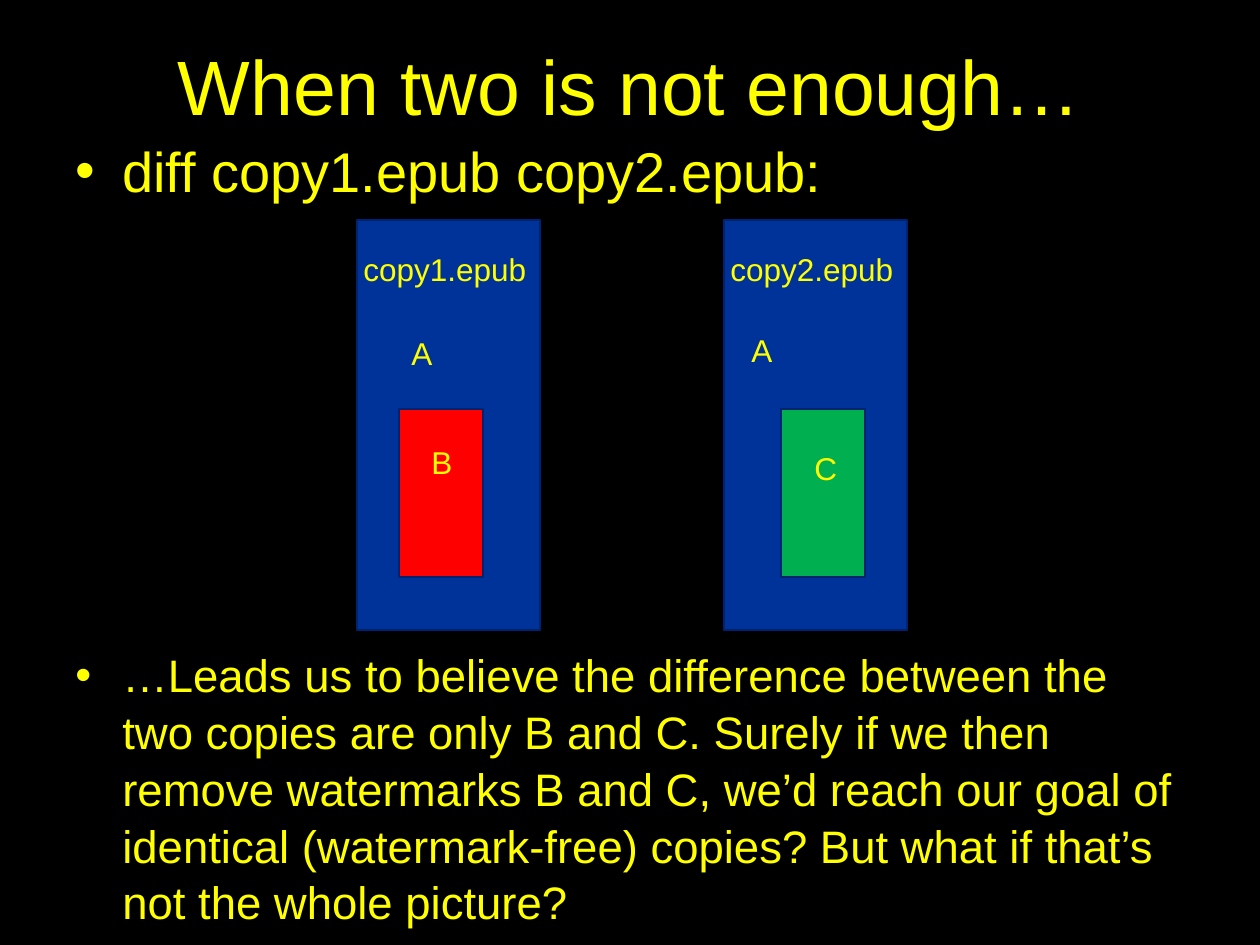
from lxml import etree
from pptx import Presentation
from pptx import util as u
from pptx.dml.color import RGBColor
from pptx.enum import shapes, text
from pptx.oxml.ns import qn

BLACK = RGBColor(0x00, 0x00, 0x00)
YELLOW = RGBColor(0xFF, 0xFF, 0x00)
BLUE = RGBColor(0x00, 0x33, 0x99)
NAVY = RGBColor(0x00, 0x23, 0x6F)
RED = RGBColor(0xFF, 0x00, 0x00)
GREEN = RGBColor(0x00, 0xB0, 0x50)
LINE_SPACING = 1.04


def px(*values):
    return [u.Emu(round(v * 914400 / 126)) for v in values]


def add_run(p, words, size):
    p.line_spacing = LINE_SPACING
    r = p.add_run()
    r.text = words
    r.font.name = "Arial"
    r.font.size = u.Pt(size)
    r.font.color.rgb = YELLOW


prs = Presentation()
prs.slide_width, prs.slide_height = px(1260, 945)
s = prs.slides.add_slide(prs.slide_layouts[6])
s.background.fill.solid()
s.background.fill.fore_color.rgb = BLACK

# Title
tf = s.shapes.add_textbox(*px(63, 0, 1134, 157)).text_frame
tf.word_wrap = True
tf.vertical_anchor = text.MSO_ANCHOR.MIDDLE
tf.margin_top, tf.margin_bottom = px(14, 6)
p = tf.paragraphs[0]
p.alignment = text.PP_ALIGN.CENTER
add_run(p, "When two is not enough…", 44)

# Bullets, with a gap between them for the diagram
tf = s.shapes.add_textbox(*px(63, 128, 1134, 790)).text_frame
tf.word_wrap = True
bullets = [
    ("diff copy1.epub copy2.epub:", 32, 0),
    ("…Leads us to believe the difference between the two copies are only "
     "B and C. Surely if we then remove watermarks B and C, we’d reach our "
     "goal of identical (watermark-free) copies? But what if that’s not the "
     "whole picture?", 26, 252),
]
indent, = px(47)
for i, (words, size, gap) in enumerate(bullets):
    p = tf.add_paragraph() if i else tf.paragraphs[0]
    pPr = p._p.get_or_add_pPr()
    pPr.set("marL", str(indent))
    pPr.set("indent", str(-indent))
    etree.SubElement(pPr, qn("a:buFont"), typeface="Arial")
    etree.SubElement(pPr, qn("a:buChar"), char="•")
    if gap:
        p.space_before = u.Pt(gap)
    add_run(p, words, size)

# The two files, each with its differing block
blocks = [
    (357, 220, 183, 410, BLUE),
    (724, 220, 183, 410, BLUE),
    (399, 409, 84, 168, RED),
    (781, 409, 84, 168, GREEN),
]
for *box, color in blocks:
    sp = s.shapes.add_shape(shapes.MSO_SHAPE.RECTANGLE, *px(*box))
    sp.shadow.inherit = False
    sp.fill.solid()
    sp.fill.fore_color.rgb = color
    sp.line.color.rgb = NAVY
    sp.line.width = u.Pt(1)

# Labels
labels = [
    ("copy1.epub", 351, 242, 210),
    ("copy2.epub", 718, 242, 210),
    ("A", 399, 326, 42),
    ("B", 419, 435, 42),
    ("A", 739, 323, 42),
    ("C", 802, 441, 42),
]
for words, left, top, width in labels:
    tf = s.shapes.add_textbox(*px(left, top, width, 50)).text_frame
    tf.word_wrap = True
    add_run(tf.paragraphs[0], words, 18)

prs.save("out.pptx")
